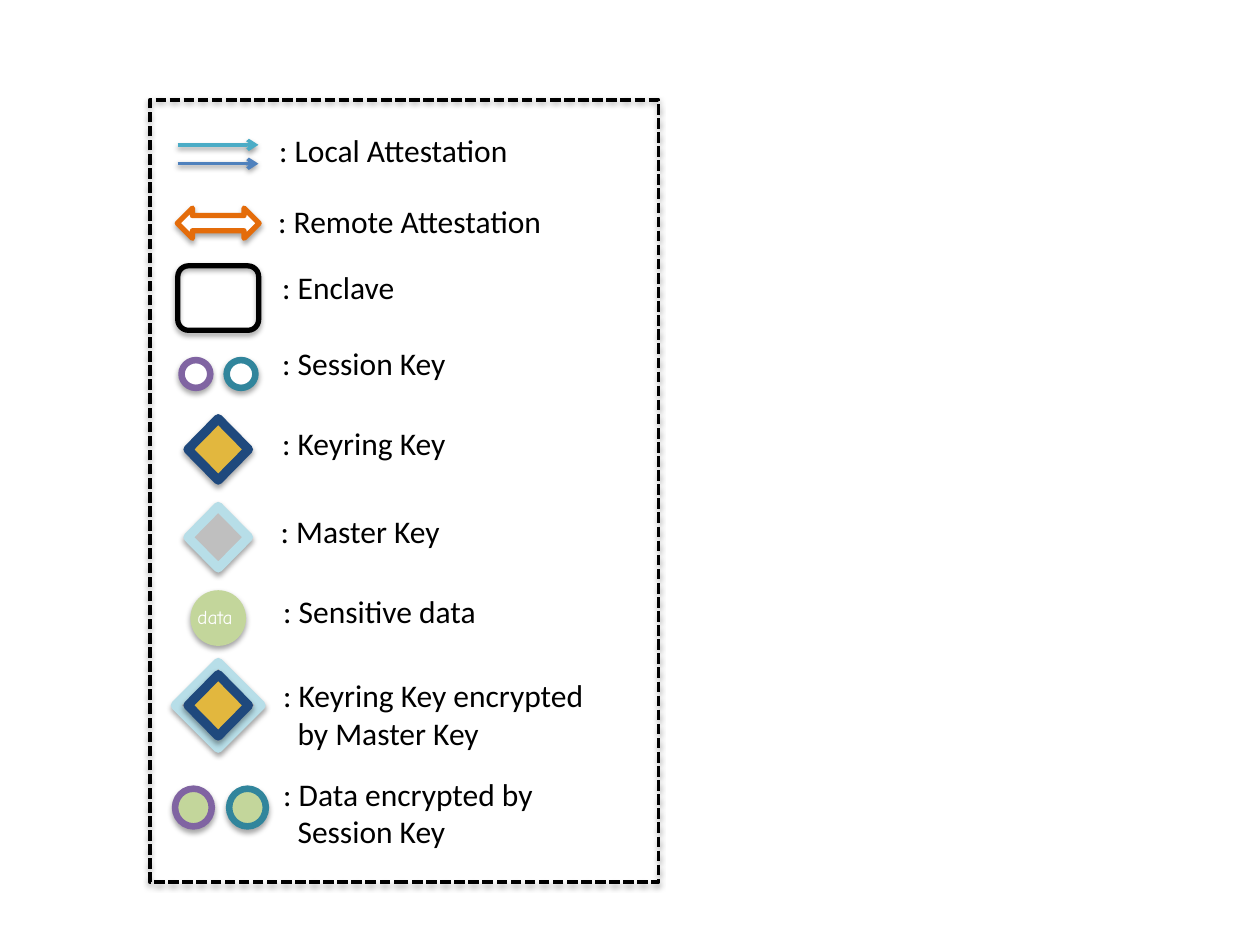
from lxml.etree import SubElement
from pptx import Presentation
from pptx.dml.color import RGBColor
from pptx.enum.dml import MSO_LINE
from pptx.enum.shapes import MSO_CONNECTOR, MSO_SHAPE as Form
from pptx.oxml.ns import qn
from pptx.util import Cm, Pt

HUE = {
    "black": "000000", "white": "FFFFFF", "aqua": "4BACC6", "blue": "4F81BD",
    "orange": "E46C0A", "purple": "8064A2", "teal": "31859C", "gold": "E2B73E",
    "navy": "1F497D", "grey": "BFBFBF", "pale": "B7DEE8", "green": "C3D69B",
}


def shade(item, drop, alpha):
    """Give a shape or connector a soft shadow straight below it."""
    fx = SubElement(item._element.spPr, qn("a:effectLst"))
    cast = SubElement(fx, qn("a:outerShdw"), blurRad=str(Pt(3.1)), dist=str(Pt(drop)),
                      dir="5400000", rotWithShape="0")
    tint = SubElement(cast, qn("a:srgbClr"), val=HUE["black"])
    SubElement(tint, qn("a:alpha"), val=str(alpha * 1000))


def write(left, top, width, height, lines, font, size, hue):
    box = slide.shapes.add_textbox(Cm(left), Cm(top), Cm(width), Cm(height))
    frame = box.text_frame
    frame.word_wrap = True
    for n, line in enumerate(lines):
        para = frame.add_paragraph() if n else frame.paragraphs[0]
        if n:  # later lines align with the text after the colon
            para._p.get_or_add_pPr().set("marL", str(Cm(0.29)))
        run = para.add_run()
        run.text = line
        run.font.name = font
        run.font.size = Pt(size)
        run.font.color.rgb = RGBColor.from_string(HUE[hue])


deck = Presentation()
deck.slide_width, deck.slide_height = Cm(25.4), Cm(19.05)
slide = deck.slides.add_slide(deck.slide_layouts[6])

# Local attestation arrows
for y, hue in ((2.92, "aqua"), (3.3, "blue")):
    arrow = slide.shapes.add_connector(MSO_CONNECTOR.STRAIGHT, Cm(3.58), Cm(y), Cm(5.21), Cm(y))
    arrow.line.color.rgb = RGBColor.from_string(HUE[hue])
    arrow.line.width = Pt(2)
    SubElement(arrow.line._get_or_add_ln(), qn("a:tailEnd"), type="arrow")
    shade(arrow, 1.6, 38)

# Frame and symbols: form, centre x, centre y, width, height, fill, line, weight
MID = 4.4
symbols = [
    (Form.RECTANGLE, 8.15, 9.9, 10.26, 15.77, None, "black", 2),
    (Form.LEFT_RIGHT_ARROW, MID, 4.5, 1.65, 0.61, "white", "orange", 3),
    (Form.ROUNDED_RECTANGLE, MID, 6.01, 1.63, 1.3, None, "black", 3),
    (Form.OVAL, 3.95, 7.54, 0.58, 0.56, "white", "purple", 3.75),
    (Form.OVAL, 4.86, 7.54, 0.58, 0.56, "white", "teal", 3.75),
    (Form.DIAMOND, MID, 9.06, 1.22, 1.24, "gold", "navy", 5.25),
    (Form.DIAMOND, MID, 10.83, 1.22, 1.24, "grey", "pale", 5.25),
    (Form.OVAL, MID, 12.46, 0.99, 0.99, "green", "green", 3.75),
    (Form.DIAMOND, MID, 14.22, 1.73, 1.73, None, "pale", 5.25),
    (Form.DIAMOND, MID, 14.22, 1.22, 1.24, "gold", "navy", 5.25),
    (Form.OVAL, 3.9, 16.28, 0.74, 0.76, "green", "purple", 3.75),
    (Form.OVAL, 4.99, 16.28, 0.74, 0.76, "green", "teal", 3.75),
]
for form, x, y, wide, high, fill, edge, weight in symbols:
    shape = slide.shapes.add_shape(form, Cm(x - wide / 2), Cm(y - high / 2), Cm(wide), Cm(high))
    if fill:
        shape.fill.solid()
        shape.fill.fore_color.rgb = RGBColor.from_string(HUE[fill])
    else:
        shape.fill.background()
    shape.line.color.rgb = RGBColor.from_string(HUE[edge])
    shape.line.width = Pt(weight)
    if form == Form.RECTANGLE:
        shape.line.dash_style = MSO_LINE.SQUARE_DOT
    shade(shape, 1.8, 35)

# Labels: left, top, width, lines
labels = [
    (5.38, 2.51, 5.69, [": Local Attestation"]),
    (5.36, 3.94, 6.32, [": Remote Attestation"]),
    (5.44, 5.28, 6.32, [": Enclave"]),
    (5.44, 6.81, 6.32, [": Session Key"]),
    (5.44, 8.43, 6.32, [": Keyring Key"]),
    (5.41, 10.19, 6.32, [": Master Key"]),
    (5.46, 11.81, 7.49, [": Sensitive data"]),
    (5.46, 13.51, 11.73, [": Keyring Key encrypted", "by Master Key"]),
    (5.46, 15.49, 9.58, [": Data encrypted by", "Session Key"]),
]
for left, top, width, lines in labels:
    write(left, top, width, 0.25 + 0.77 * len(lines), lines, "Calibri", 18, "black")
write(3.73, 12.07, 1.68, 0.74, ["data"], "Comic Neue", 11, "white")

deck.save("out.pptx")
